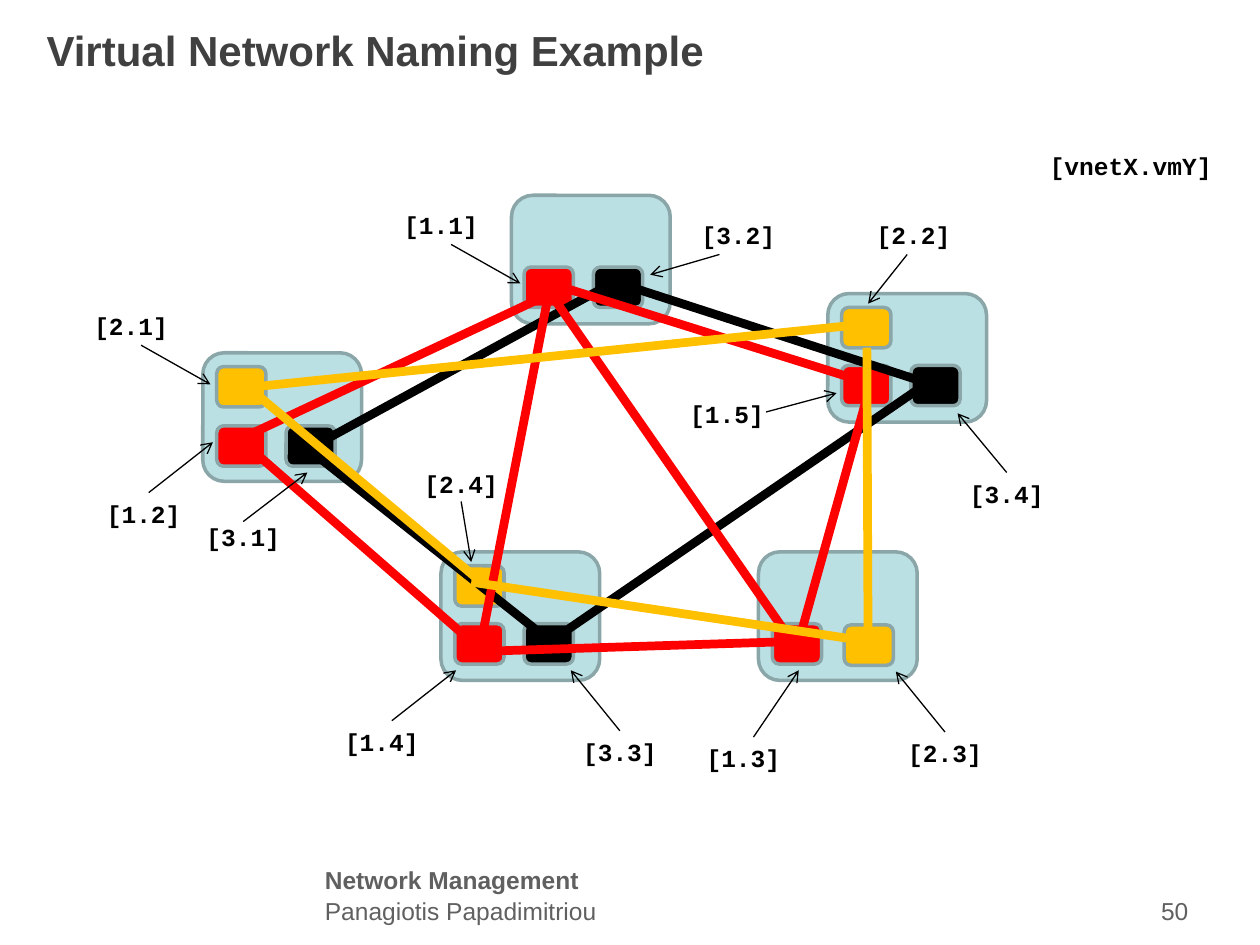
from pptx import Presentation
from pptx.dml.color import RGBColor
from pptx.enum.shapes import MSO_CONNECTOR as Conn, MSO_SHAPE as Shape
from pptx.enum.text import MSO_ANCHOR as Anchor, PP_ALIGN as Align
from pptx.oxml.ns import qn
from pptx.util import Pt
from lxml.etree import SubElement

PX = 9144  # 100 px to the inch
RED, GOLD, BLACK = "FF0000", "FFC000", "000000"
HOST, EDGE, GREY = "BBE0E3", "8AA6A8", "606060"


def rgb(code):
    return RGBColor.from_string(code)


def emu(*sizes):
    return [size * PX for size in sizes]


prs = Presentation()
prs.slide_width, prs.slide_height = emu(1000, 750)
slide = prs.slides.add_slide(prs.slide_layouts[5])
shapes = slide.shapes

title = shapes.title
title.left, title.top, title.width, title.height = emu(27, 8, 900, 63)
title.text_frame.text = "Virtual Network Naming Example"
title.text_frame.vertical_anchor = Anchor.MIDDLE
para = title.text_frame.paragraphs[0]
para.alignment = Align.LEFT
font = para.font
font.name, font.size, font.bold = "Arial", Pt(24), True
font.color.rgb = rgb("404040")

# Hosts, then the virtual machines inside them
hosts = [(657, 233), (350, 438), (602, 438), (406, 155), (161, 280)]
nodes = [
    (668, 244, GOLD), (172, 338, RED), (172, 291, GOLD), (227, 338, BLACK),
    (361, 495, RED), (361, 449, GOLD), (416, 495, BLACK), (613, 495, RED),
    (670, 496, GOLD), (416, 212, RED), (471, 212, BLACK), (668, 290, RED),
    (723, 290, BLACK),
]
boxes = [(x, y, 126, 102, HOST) for x, y in hosts]
boxes += [(x, y, 39, 32, color) for x, y, color in nodes]
for *area, color in boxes:
    box = shapes.add_shape(Shape.ROUNDED_RECTANGLE, *emu(*area))
    box.shadow.inherit = False
    box.fill.solid()
    box.fill.fore_color.rgb = rgb(color)
    box.line.color.rgb = rgb(EDGE)
    box.line.width = Pt(2)

# Virtual links, thick, and label arrows, which point at their first end
links = [
    (193, 351, 374, 509, RED), (248, 359, 437, 509, BLACK),
    (492, 225, 736, 304, BLACK), (437, 509, 736, 304, BLACK),
    (240, 359, 500, 217, BLACK), (437, 225, 382, 509, RED),
    (437, 233, 634, 517, RED), (382, 517, 634, 509, RED),
    (437, 233, 185, 351, RED), (437, 225, 689, 304, RED),
    (634, 509, 689, 312, RED), (192, 308, 689, 257, GOLD),
    (193, 304, 382, 462, GOLD), (689, 509, 374, 462, GOLD),
    (689, 517, 688, 276, GOLD),
]
arrows = [
    (413, 225, 358, 194), (516, 218, 571, 202), (167, 305, 112, 274),
    (169, 351, 118, 391), (244, 375, 193, 414), (362, 532, 311, 572),
    (453, 532, 492, 580), (711, 533, 750, 581), (760, 328, 799, 375),
    (634, 532, 598, 585), (689, 241, 720, 202), (664, 312, 608, 327),
    (374, 446, 366, 398),
]
lines = [(*ends, color, 5) for *ends, color in links]
lines += [(*ends, BLACK, 0.75) for ends in arrows]
for *ends, color, width in lines:
    line = shapes.add_connector(Conn.STRAIGHT, *emu(*ends))
    line.line.color.rgb = rgb(color)
    line.line.width = Pt(width)
    if width < 1:
        SubElement(line.line._get_or_add_ln(), qn("a:headEnd"), type="arrow")
    SubElement(line._element.spPr, qn("a:effectLst"))

labels = [
    ("[1.1]", 311, 162), ("[3.2]", 547, 170), ("[2.1]", 65, 242),
    ("[1.2]", 75, 391), ("[3.1]", 154, 409), ("[1.4]", 264, 572),
    ("[3.3]", 453, 580), ("[2.3]", 711, 581), ("[3.4]", 760, 375),
    ("[1.3]", 551, 585), ("[2.2]", 686, 170), ("[1.5]", 538, 312),
    ("[2.4]", 327, 367),
]
mono = ("Courier New", BLACK, True)
texts = [(text, x, y, 87, Align.LEFT, *mono) for text, x, y in labels]
texts += [
    ("[vnetX.vmY]", 807, 115, 181, Align.CENTER, *mono),
    ("Network Management", 248, 682, 449, Align.LEFT, "Arial", GREY, True),
    ("Panagiotis Papadimitriou", 248, 706, 449, Align.LEFT, "Arial", GREY, False),
    ("50", 720, 706, 233, Align.RIGHT, "Arial", GREY, False),
]
for text, x, y, width, align, face, color, bold in texts:
    frame = shapes.add_textbox(*emu(x, y, width, 34)).text_frame
    frame.word_wrap = True
    frame.text = text
    para = frame.paragraphs[0]
    para.alignment = align
    font = para.font
    font.name, font.size, font.bold = face, Pt(14), bold
    font.color.rgb = rgb(color)

prs.save("out.pptx")
